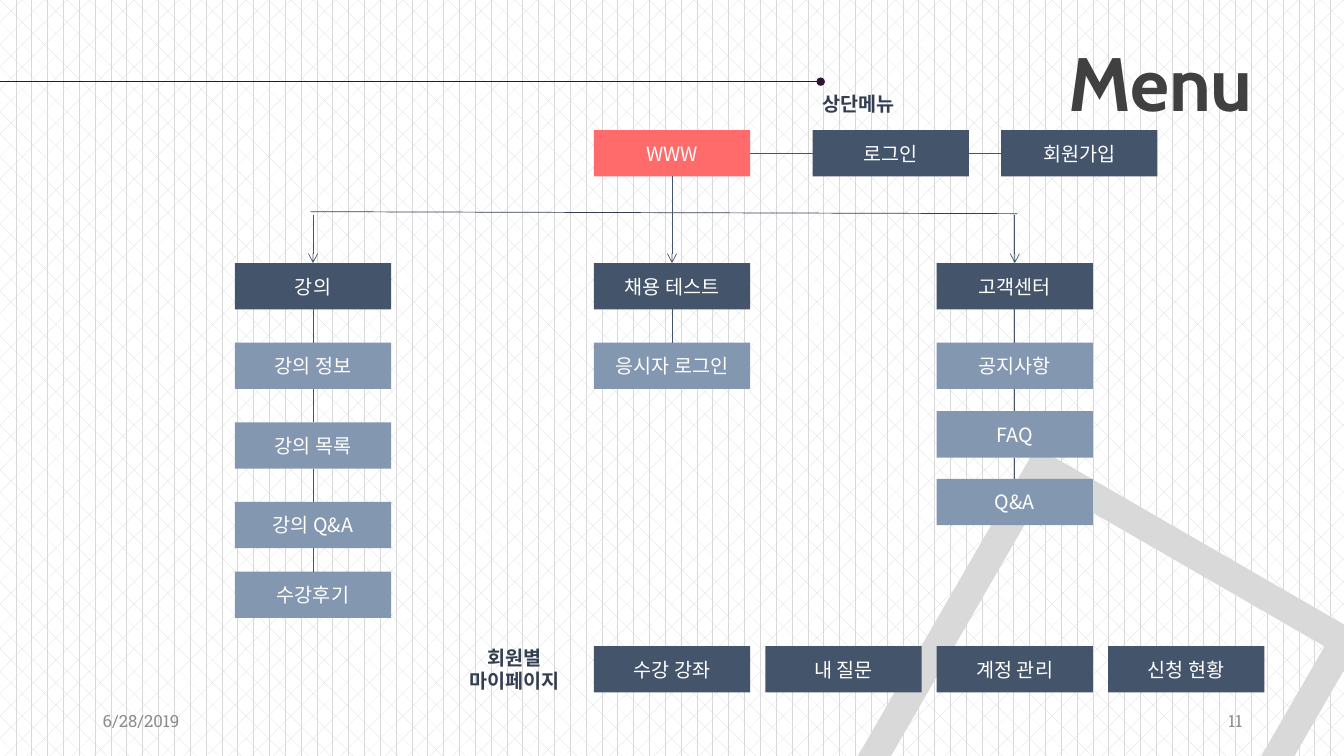
from lxml import etree
from pptx import Presentation, util as u
from pptx.dml.color import RGBColor
from pptx.enum import dml, shapes, text
from pptx.oxml.ns import qn

NAVY, STEEL, CORAL, INK, GREY = "44546A", "8497B0", "FF6B6B", "333F50", "8C8C8C"
SANS, SLAB = "Noto Sans CJK KR", "Roboto Slab"
BOX_W, BOX_H = 1.55, 0.46
TOP_Y, BAR_Y, HEAD_Y, PAGE_Y = 1.29, 2.13, 2.61, 6.41
MID_X, PAGE_GAP = 5.89, 1.7

TOPS = [("WWW", MID_X, CORAL), ("로그인", 8.06, NAVY), ("회원가입", 9.93, NAVY)]
MENUS = [
    ("강의", 2.33, [("강의 정보", 3.4), ("강의 목록", 4.19),
                  ("강의 Q&A", 4.98), ("수강후기", 5.67)]),
    ("채용 테스트", MID_X, [("응시자 로그인", 3.4)]),
    ("고객센터", 9.29, [("공지사항", 3.4), ("FAQ", 4.08), ("Q&A", 4.75)]),
]
PAGES = ["수강 강좌", "내 질문", "계정 관리", "신청 현황"]
LEFT, MID, RIGHT = text.PP_ALIGN.LEFT, text.PP_ALIGN.CENTER, text.PP_ALIGN.RIGHT
BOLD = dict(size=14, name=SANS, bold=True, color=INK)
SMALL = dict(size=12, name=SLAB, color=GREY)
LABELS = [
    ("6/28/2019", (0.92, 6.95, 3, 0.4), LEFT, SMALL),
    ("11", (9.42, 6.95, 3, 0.4), RIGHT, SMALL),
    ("상단메뉴", (8.06, 0.8, BOX_W, BOX_H), LEFT, BOLD),
    ("회원별 마이페이지", (4.33, PAGE_Y, BOX_W, BOX_H), MID, BOLD),
]

deck = Presentation()
deck.slide_width, deck.slide_height = u.Inches(13.33), u.Inches(7.5)
slide = deck.slides.add_slide(deck.slide_layouts[6])


def rgb(code):
    return RGBColor.from_string(code)


def span(*sizes):
    return [u.Inches(size) for size in sizes]


def write(shape, words, align, color, size, **style):
    frame = shape.text_frame
    frame.word_wrap = True
    frame.vertical_anchor = text.MSO_ANCHOR.MIDDLE
    para = frame.paragraphs[0]
    para.alignment = align
    run = para.add_run()
    run.text = words
    run.font.color.rgb = rgb(color)
    for key, value in dict(style, size=u.Pt(size)).items():
        setattr(run.font, key, value)
    east = etree.SubElement(run.font._element, qn("a:ea"))
    east.set("typeface", style["name"])


def solid(kind, place, color):
    shape = slide.shapes.add_shape(kind, *span(*place))
    shape.shadow.inherit = False
    shape.fill.solid()
    shape.fill.fore_color.rgb = rgb(color)
    shape.line.fill.background()
    return shape


def box(words, x, y, color):
    shape = solid(shapes.MSO_SHAPE.RECTANGLE, (x, y, BOX_W, BOX_H), color)
    write(shape, words, MID, "FFFFFF", 14, name=SANS)
    return shape


def label(words, place, align, style):
    shape = slide.shapes.add_textbox(*span(*place))
    write(shape, words, align, **style)
    return shape


def line(start, end, color=NAVY, tip=None):
    link = slide.shapes.add_connector(
        shapes.MSO_CONNECTOR.STRAIGHT, *span(*start, *end))
    link.line.color.rgb = rgb(color)
    link.line.width = u.Pt(0.5)
    if tip:
        etree.SubElement(link.line._get_or_add_ln(), qn("a:tailEnd")).set("type", tip)
    etree.SubElement(link._element.spPr, qn("a:effectLst"))
    return link


def join(first, out, last, into, tip=None):
    link = line((0, 0), (1, 1), tip=tip)
    link.begin_connect(first, out)
    link.end_connect(last, into)


def chain(row, out, into):
    for first, last in zip(row, row[1:]):
        join(first, out, last, into)


back = slide.background.fill
back.patterned()
back.pattern = dml.MSO_PATTERN.DIVOT
back.fore_color.rgb, back.back_color.rgb = rgb("D9D9D9"), rgb("FFFFFF")

frame = solid(shapes.MSO_SHAPE.FRAME, (9.09, 5.12, 3.75, 3.75), "D9D9D9")
frame.adjustments[0] = 0.076
frame.rotation = 30

line((0, 0.81), (8.14, 0.81), "2E1437", "oval")
title = label("Menu", (0.92, 0.36, 11.5, 0.91), RIGHT,
              dict(size=54, name="Cabin", bold=True, color="404040"))
fit = dict(margin_left=0, margin_right=0, margin_top=0, margin_bottom=0,
           vertical_anchor=text.MSO_ANCHOR.TOP,
           auto_size=text.MSO_AUTO_SIZE.SHAPE_TO_FIT_TEXT)
for key, value in fit.items():
    setattr(title.text_frame, key, value)
for item in LABELS:
    label(*item)

tops = [box(words, x, TOP_Y, color) for words, x, color in TOPS]
chain(tops, 3, 1)
line((3.08, 2.1), (10.09, 2.12), INK)

for words, x, subs in MENUS:
    head = box(words, x, HEAD_Y, NAVY)
    chain([head] + [box(sub, x, y, STEEL) for sub, y in subs], 2, 0)
    if x == MID_X:
        join(tops[0], 2, head, 0, "arrow")
    else:
        hub = x + BOX_W / 2
        line((hub, BAR_Y), (hub, HEAD_Y), tip="arrow").end_connect(head, 0)

for i, words in enumerate(PAGES):
    box(words, MID_X + i * PAGE_GAP, PAGE_Y, NAVY)

deck.save("out.pptx")
